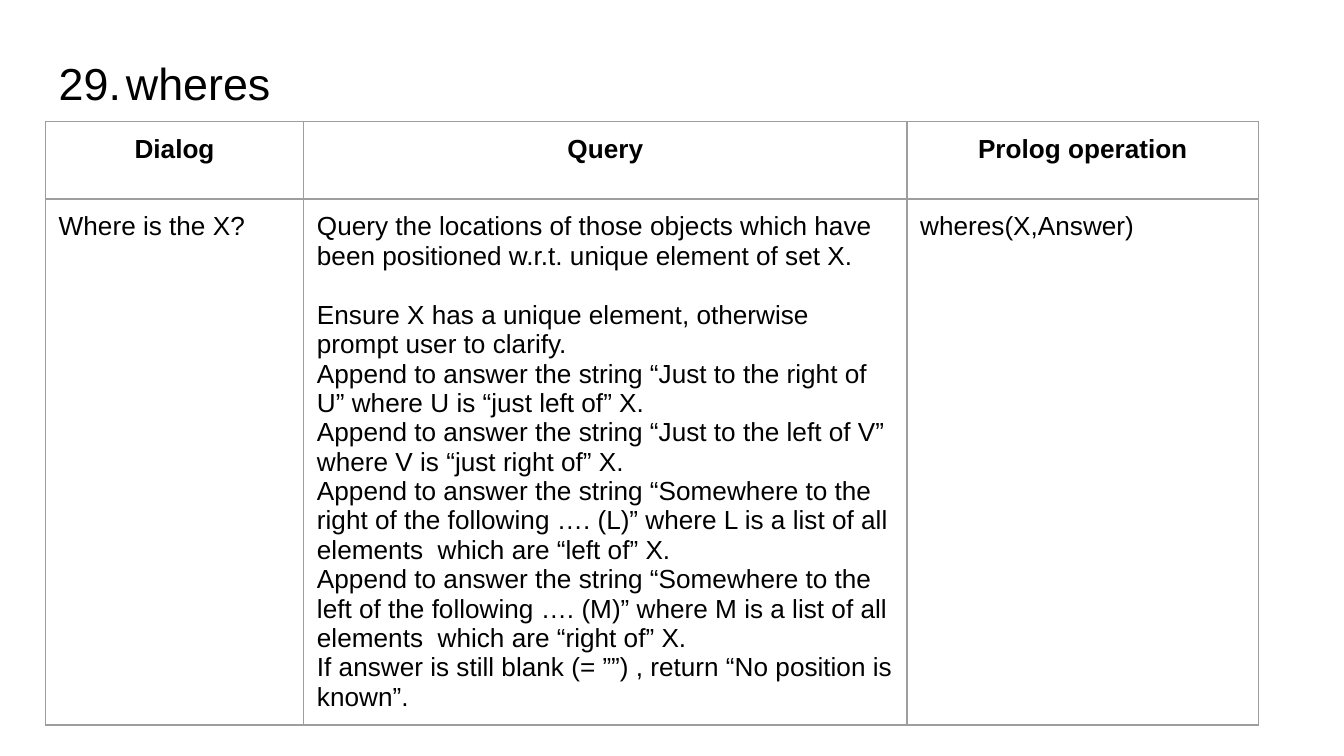
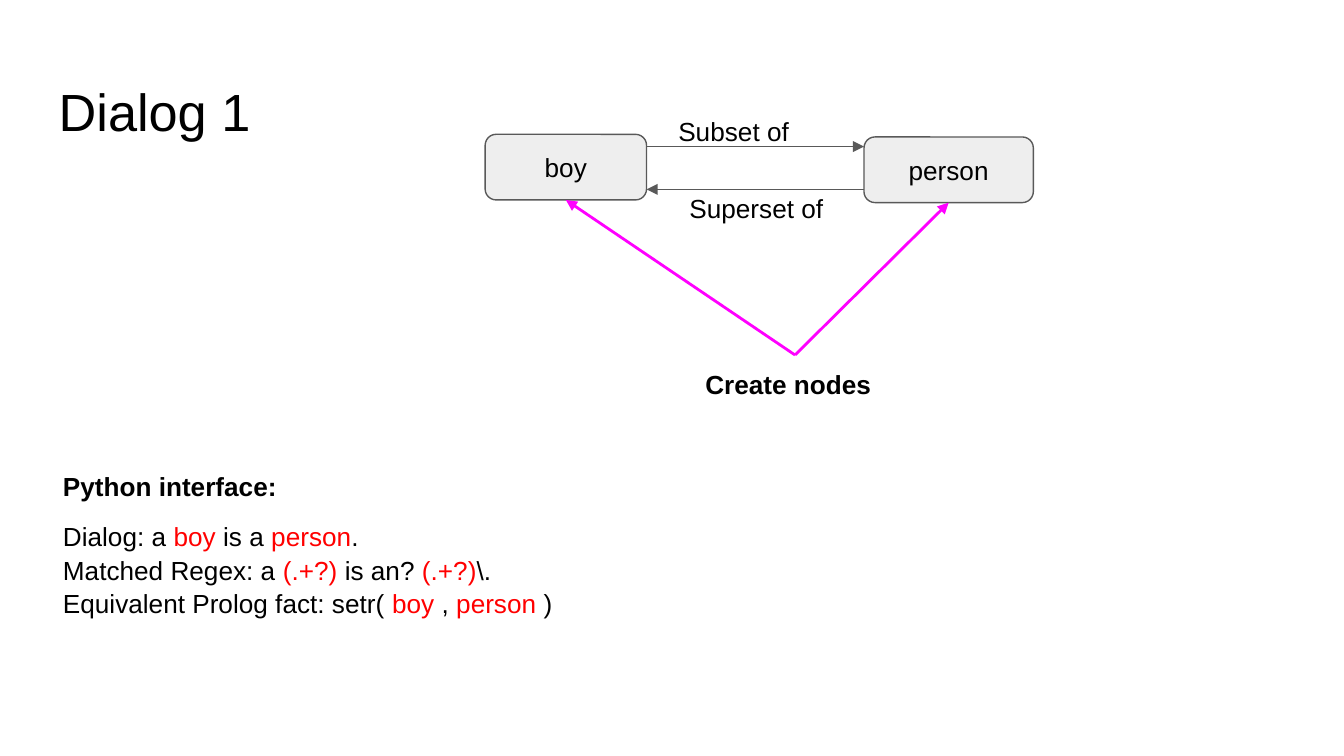
import pptx
import pptx.util
import pptx.dml.color
import pptx.enum.shapes
import pptx.enum.text
import pptx.oxml
import pptx.oxml.ns
from lxml import etree

Cm = pptx.util.Cm
Pt = pptx.util.Pt
RGB = pptx.dml.color.RGBColor
ALIGN = pptx.enum.text.PP_ALIGN
ANCHOR = pptx.enum.text.MSO_ANCHOR
qn = pptx.oxml.ns.qn

BLACK = RGB(0x00, 0x00, 0x00)
RED = RGB(0xFF, 0x00, 0x00)
MAGENTA = RGB(0xFF, 0x00, 0xFF)
GREY = RGB(0x59, 0x59, 0x59)
PALE = RGB(0xEE, 0xEE, 0xEE)
BORDER = RGB(0x9E, 0x9E, 0x9E)

FONT = "Arial"
TEXT_SIZE = 14
INSET = Cm(0.25)
LEFT = 0.86

HEADINGS = ["Dialog", "Query", "Prolog operation"]
QUERY_STEPS = [
    "Query the locations of those objects which have been positioned w.r.t. unique element of set X.",
    "Ensure X has a unique element, otherwise prompt user to clarify.",
    "Append to answer the string “Just to the right of U” where U is “just left of” X.",
    "Append to answer the string “Just to the left of V” where V is “just right of” X.",
    "Append to answer the string “Somewhere to the right of the following …. (L)” "
    "where L is a list of all elements  which are “left of” X.",
    "Append to answer the string “Somewhere to the left of the following …. (M)” "
    "where M is a list of all elements  which are “right of” X.",
    "If answer is still blank (= ””) , return “No position is known”.",
]
INTERFACE_LINES = [
    "Dialog: a |boy| is a |person|.",
    "Matched Regex: a |(.+?) |is an? |(.+?)|\\.",
    "Equivalent Prolog fact: setr( |boy |, |person |)",
]


def set_insets(box):
    box.margin_left = box.margin_right = INSET
    box.margin_top = box.margin_bottom = INSET


def write(tf, lines, size=TEXT_SIZE, bold=False, align=ALIGN.LEFT, spacing=None):
    """Every second part of a line, split at |, is red."""
    tf.word_wrap = True
    for i, line in enumerate(lines):
        p = tf.add_paragraph() if i else tf.paragraphs[0]
        p.alignment = align
        if spacing:
            p.line_spacing = spacing
        p.font.name = FONT
        p.font.size = Pt(size)
        p.font.bold = bold
        p.font.color.rgb = BLACK
        for j, part in enumerate(line.split("|")):
            r = p.add_run()
            r.text = part
            if j % 2:
                r.font.color.rgb = RED


def add_slide(prs, title, top, size):
    s = prs.slides.add_slide(prs.slide_layouts[5])
    sp = s.shapes.title
    sp.left, sp.top, sp.width, sp.height = Cm(LEFT), Cm(top), Cm(23.67), Cm(1.6)
    tf = sp.text_frame
    set_insets(tf)
    tf.auto_size = pptx.enum.text.MSO_AUTO_SIZE.NONE
    tf.vertical_anchor = ANCHOR.TOP
    write(tf, [title], size)
    return s


def add_text(s, lines, left, top, width, height, **style):
    sp = s.shapes.add_textbox(Cm(left), Cm(top), Cm(width), Cm(height))
    set_insets(sp.text_frame)
    write(sp.text_frame, lines, **style)
    return sp


def add_node(s, name, left, top, width):
    kind = pptx.enum.shapes.MSO_SHAPE.ROUNDED_RECTANGLE
    sp = s.shapes.add_shape(kind, Cm(left), Cm(top), Cm(width), Cm(1.24))
    sp.shadow.inherit = False
    sp.fill.solid()
    sp.fill.fore_color.rgb = PALE
    sp.line.color.rgb = GREY
    sp.line.width = Pt(0.75)
    tf = sp.text_frame
    set_insets(tf)
    tf.vertical_anchor = ANCHOR.MIDDLE
    write(tf, [name], align=ALIGN.CENTER)
    return sp


def add_arrow(s, x1, y1, x2, y2, color=GREY, width=0.75):
    kind = pptx.enum.shapes.MSO_CONNECTOR.STRAIGHT
    c = s.shapes.add_connector(kind, x1, y1, x2, y2)
    c.line.color.rgb = color
    c.line.width = Pt(width)
    etree.SubElement(c.line._get_or_add_ln(), qn("a:tailEnd"), type="triangle")
    etree.SubElement(c._element.spPr, qn("a:effectLst"))
    return c


def join_nodes(s, label, node):
    c = add_arrow(s, 0, 0, 0, 0, MAGENTA, 1.5)
    c.begin_connect(label, 0)
    c.end_connect(node, 2)


def set_borders(cell):
    tcPr = cell._tc.get_or_add_tcPr()
    for i, side in enumerate(("lnL", "lnR", "lnT", "lnB")):
        ln = etree.Element(qn("a:" + side), w=str(Pt(0.75)))
        fill = etree.SubElement(ln, qn("a:solidFill"))
        etree.SubElement(fill, qn("a:srgbClr"), val=str(BORDER))
        tcPr.insert(i, ln)


def add_grid(s, rows, left, top, widths, heights):
    frame = s.shapes.add_table(len(rows), len(widths), Cm(left), Cm(top),
                               Cm(sum(widths)), Cm(sum(heights)))
    table = frame.table
    table.first_row = table.horz_banding = False
    for column, width in zip(table.columns, widths):
        column.width = Cm(width)
    for i, (row, height) in enumerate(zip(rows, heights)):
        table.rows[i].height = Cm(height)
        for j, lines in enumerate(row):
            cell = table.cell(i, j)
            set_insets(cell)
            cell.fill.background()
            set_borders(cell)
            write(cell.text_frame, lines, bold=i == 0,
                  align=ALIGN.LEFT if i else ALIGN.CENTER)
    return table


def build_wheres(prs):
    s = add_slide(prs, "29.\twheres", 0.81, 24)
    rows = [[[heading] for heading in HEADINGS],
            [["Where is the X?"], QUERY_STEPS, ["wheres(X,Answer)"]]]
    table = add_grid(s, rows, LEFT, 2.29, [4.88, 11.4, 6.65], [1.47, 8.81])
    table.cell(1, 1).text_frame.paragraphs[1].space_before = Pt(16)


def build_dialog(prs):
    s = add_slide(prs, "Dialog 1", 1.24, 28)
    boy = add_node(s, "boy", 9.17, 2.54, 3.05)
    person = add_node(s, "person", 16.33, 2.59, 3.2)
    boy_right = boy.left + boy.width
    add_arrow(s, boy_right, Cm(2.77), person.left, Cm(2.77))
    add_arrow(s, person.left, Cm(3.58), boy_right, Cm(3.58))
    add_text(s, ["Subset of"], 12.57, 1.93, 3.43, 0.91)
    add_text(s, ["Superset of"], 12.78, 3.38, 3.43, 0.91)
    add_text(s, INTERFACE_LINES, 0.94, 9.55, 13.49, 2.62, spacing=1.07)
    add_text(s, ["Python interface:"], 0.94, 8.64, 5.1, 0.91, bold=True)
    create = add_text(s, ["Create nodes"], 13.08, 6.71, 3.89, 1.19, bold=True)
    for node in (boy, person):
        join_nodes(s, create, node)


def main():
    prs = pptx.Presentation()
    prs.slide_width, prs.slide_height = Cm(25.4), Cm(14.29)
    build_wheres(prs)
    build_dialog(prs)
    prs.save("out.pptx")


if __name__ == "__main__":
    main()
